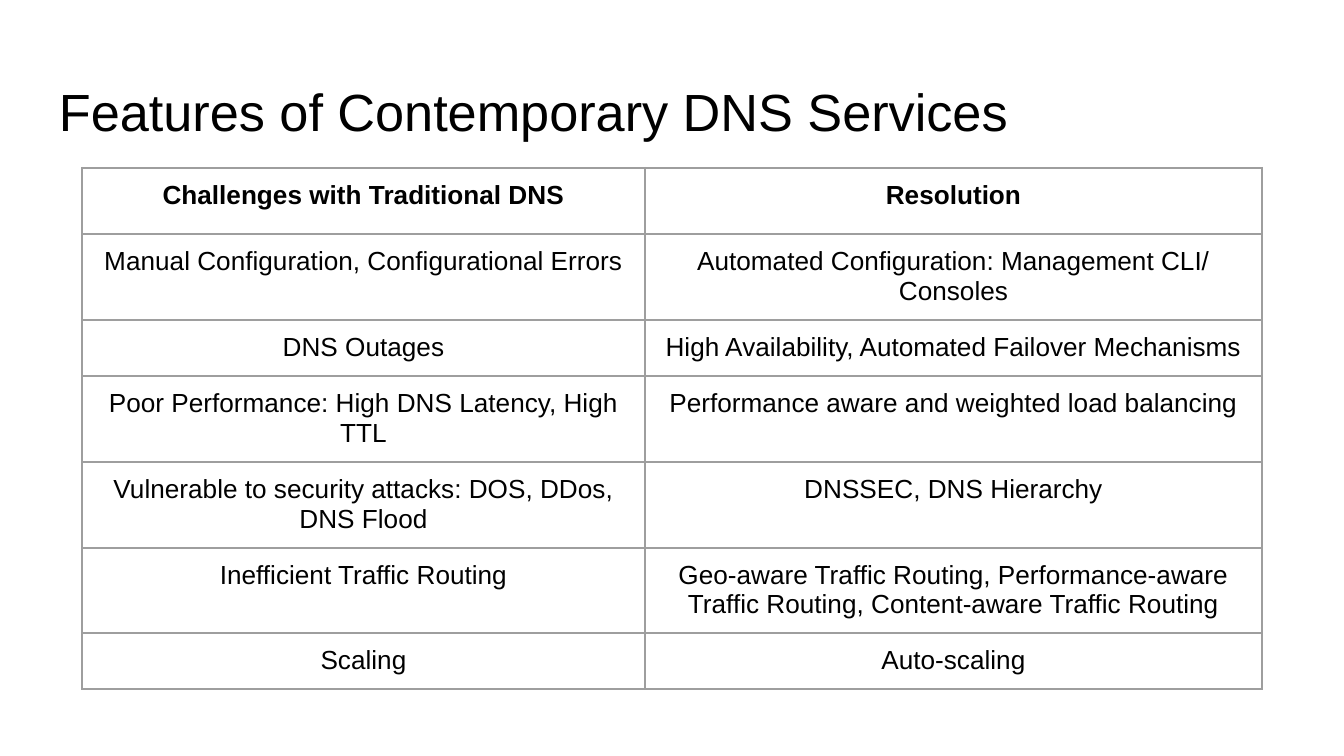
from lxml import etree
from pptx import Presentation
from pptx import util as u
from pptx.dml.color import RGBColor
from pptx.enum import text
from pptx.oxml import ns

BLACK = RGBColor(0, 0, 0)
GRAY = RGBColor(0x9E, 0x9E, 0x9E)
FONT = "Arial"
SCALE = 914400 / 134.4
INSET = 13
COLS = [563, 617]
HEIGHTS = [66, 86, 56, 86, 86, 85, 56]
ROWS = [
    ("Challenges with Traditional DNS", "Resolution"),
    ("Manual Configuration, Configurational Errors",
     "Automated Configuration: Management CLI/ Consoles"),
    ("DNS Outages", "High Availability, Automated Failover Mechanisms"),
    ("Poor Performance: High DNS Latency, High TTL",
     "Performance aware and weighted load balancing"),
    ("Vulnerable to security attacks: DOS, DDos, DNS Flood",
     "DNSSEC, DNS Hierarchy"),
    ("Inefficient Traffic Routing",
     "Geo-aware Traffic Routing, Performance-aware Traffic Routing, "
     "Content-aware Traffic Routing"),
    ("Scaling", "Auto-scaling"),
]


def px(n):
    return u.Emu(round(n * SCALE))


def pad(item):
    item.margin_left = item.margin_right = px(INSET)
    item.margin_top = item.margin_bottom = px(INSET)


def write(para, words, size, align, bold=False):
    para.alignment = align
    run = para.add_run()
    run.text = words
    font = run.font
    font.name, font.size, font.bold = FONT, u.Pt(size), bold
    font.color.rgb = BLACK


def edge(cell):
    props = cell._tc.get_or_add_tcPr()
    for side in ("lnL", "lnR", "lnT", "lnB"):
        line = etree.SubElement(props, ns.qn("a:" + side), w=str(u.Pt(1.19)))
        fill = etree.SubElement(line, ns.qn("a:solidFill"))
        etree.SubElement(fill, ns.qn("a:srgbClr"), val=str(GRAY))


def add_title(slide, x, y, w, h):
    title = slide.shapes.title
    title.left, title.top, title.width, title.height = map(px, (x, y, w, h))
    frame = title.text_frame
    frame.word_wrap = True
    frame.auto_size = text.MSO_AUTO_SIZE.NONE
    frame.vertical_anchor = text.MSO_ANCHOR.TOP
    pad(frame)
    write(frame.paragraphs[0], "Features of Contemporary DNS Services", 28,
          text.PP_ALIGN.LEFT)


def add_grid(slide, x, y, w, h):
    table = slide.shapes.add_table(
        len(ROWS), len(COLS), px(x), px(y), px(w), px(h)).table
    table.first_row = table.horz_banding = False
    for col, width in zip(table.columns, COLS):
        col.width = px(width)
    for i, (row, height) in enumerate(zip(table.rows, HEIGHTS)):
        row.height = px(height)
        for cell, words in zip(row.cells, ROWS[i]):
            pad(cell)
            cell.vertical_anchor = text.MSO_ANCHOR.TOP
            edge(cell)
            cell.fill.background()
            write(cell.text_frame.paragraphs[0], words, 14,
                  text.PP_ALIGN.CENTER, i == 0)


def main():
    deck = Presentation()
    deck.slide_width, deck.slide_height = px(1344), px(756)
    slide = deck.slides.add_slide(deck.slide_layouts[5])
    add_title(slide, 46, 66, 1252, 85)
    add_grid(slide, 82, 168, sum(COLS), sum(HEIGHTS))
    deck.save("out.pptx")


if __name__ == "__main__":
    main()
